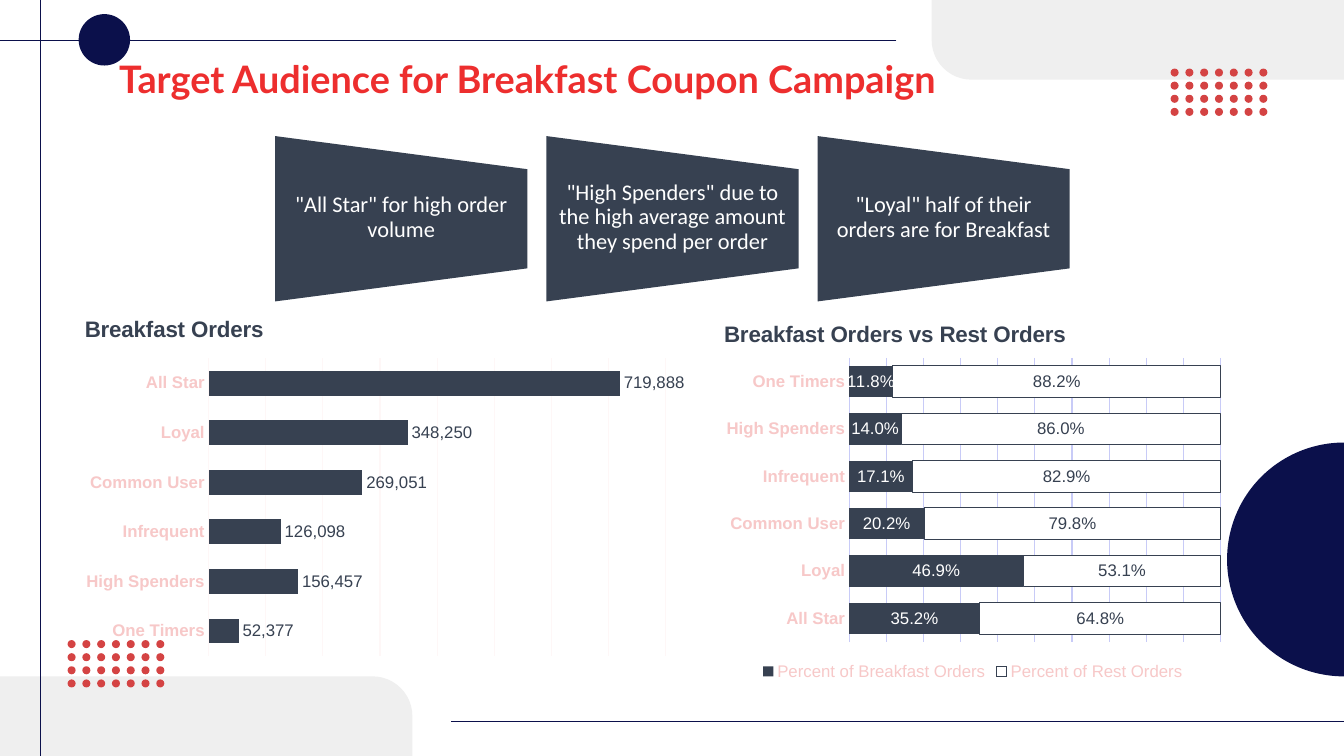
"""Build the slide on the target audience of the breakfast coupon campaign."""
from itertools import product
from pptx import Presentation, util as u
from pptx.chart.data import CategoryChartData
from pptx.dml.color import RGBColor
from pptx.enum import chart as ch, shapes, text
from pptx.oxml import parse_xml
from pptx.oxml.ns import nsdecls, qn

WIDE, HIGH = 13.33, 7.5
NAVY, SLATE, RED, DOT = "0B104B", "374151", "ED2E2E", "D44343"
PINK, PALE, LILAC, GREY, WHITE = "F7C8C8", "FEF7F7", "C8CBF7", "EFEFEF", "FFFFFF"
KIND, TYPE, SPOT = shapes.MSO_SHAPE, ch.XL_CHART_TYPE, ch.XL_LABEL_POSITION

HEAD = "Target Audience for Breakfast Coupon Campaign"
CARDS = [
    '"All Star" for high order volume',
    '"High Spenders" due to the high average amount they spend per order',
    '"Loyal" half of their orders are for Breakfast',
]
GROUPS = ["All Star", "Loyal", "Common User", "Infrequent", "High Spenders", "One Timers"]
RULES = [(WIDE, 7.16, 4.47, 7.16), (8.89, 0.4, 0, 0.4), (0.4, HIGH, 0.4, 0)]
CHARTS = [
    dict(title="Breakfast Orders", kind=TYPE.BAR_CLUSTERED, box=(0.74, 2.98, 6.05, 3.6),
         head=(0.01, 0.03), plot=(0.22, 0.16, 0.75, 0.82), top=800000, step=100000,
         gap=100, lap=0, grid=PALE, flip=True, form="#,##0", spot=SPOT.OUTSIDE_END,
         rows=[("Series 1", [719888, 348250, 269051, 126098, 156457, 52377],
                SLATE, SLATE, None)]),
    dict(title="Breakfast Orders vs Rest Orders", kind=TYPE.BAR_STACKED,
         box=(7.09, 2.98, 5.12, 3.81), head=(0.01, 0.04), plot=(0.26, 0.15, 0.72, 0.74),
         top=1, step=0.1, gap=50, lap=100, grid=LILAC, flip=False, form="0.0%",
         spot=SPOT.CENTER,
         rows=[("Percent of Breakfast Orders", [0.352, 0.469, 0.202, 0.171, 0.14, 0.118],
                SLATE, WHITE, None),
               ("Percent of Rest Orders", [0.648, 0.531, 0.798, 0.829, 0.86, 0.882],
                WHITE, SLATE, SLATE)]),
]

deck = Presentation()
deck.slide_width, deck.slide_height = u.Inches(WIDE), u.Inches(HIGH)
slide = deck.slides.add_slide(deck.slide_layouts[6])


def inch(box):
    return [u.Inches(n) for n in box]


def hue(part, code):
    part.rgb = RGBColor.from_string(code)


def paint(part, code):
    part.solid()
    hue(part.fore_color, code)


def stroke(line, code):
    paint(line.fill, code)
    line.width = u.Pt(0.75)


def style(font, size, code, bold=False, name="Arial"):
    font.size, font.bold, font.name = u.Pt(size), bold, name
    hue(font.color, code)


def shape(kind, box, code, turn=0, knobs=()):
    item = slide.shapes.add_shape(kind, *inch(box))
    item.shadow.inherit = False
    paint(item.fill, code)
    item.line.fill.background()
    item.rotation = turn
    for i, knob in enumerate(knobs):
        item.adjustments[i] = knob


def write(words, box, pad, anchor, space, *look):
    frame = slide.shapes.add_textbox(*inch(box)).text_frame
    frame.word_wrap, frame.vertical_anchor = True, anchor
    frame.margin_left = frame.margin_right = u.Inches(pad[0])
    frame.margin_top = frame.margin_bottom = u.Inches(pad[1])
    para = frame.paragraphs[0]
    para.alignment, para.line_spacing = text.PP_ALIGN.CENTER, space
    run = para.add_run()
    run.text = words
    style(run.font, *look)


def place(node, spot, index, inner=""):
    for old in node.findall(qn("c:layout")):
        node.remove(old)
    tags = "".join(f'<c:{k}Mode val="edge"/>' for k in "xy")
    tags += "".join(f'<c:{k} val="{n}"/>' for k, n in zip("xywh", spot))
    node.insert(index, parse_xml(
        f'<c:layout {nsdecls("c")}><c:manualLayout>{inner}{tags}</c:manualLayout></c:layout>'))


def draw(cfg):
    data = CategoryChartData()
    data.categories = GROUPS
    for name, vals, *_ in cfg["rows"]:
        data.add_series(name, vals)
    chart = slide.shapes.add_chart(cfg["kind"], *inch(cfg["box"]), data).chart
    style(chart.font, 12, PINK)
    chart.has_title = True
    run = chart.chart_title.text_frame.paragraphs[0].add_run()
    run.text = cfg["title"]
    style(run.font, 16, SLATE, True)
    place(chart.chart_title._element, cfg["head"], 1)
    area = chart._chartSpace.xpath("c:chart/c:plotArea")[0]
    place(area, cfg["plot"], 0, '<c:layoutTarget val="inner"/>')

    cats, vals = chart.category_axis, chart.value_axis
    cats.major_tick_mark = ch.XL_TICK_MARK.NONE
    cats.reverse_order = cfg["flip"]
    style(cats.tick_labels.font, 12, PINK, True)
    stroke(cats.format.line, cfg["grid"])
    vals.visible = False
    vals.minimum_scale, vals.maximum_scale = 0, cfg["top"]
    vals.major_unit = cfg["step"]
    stroke(vals.major_gridlines.format.line, cfg["grid"])

    plot = chart.plots[0]
    plot.gap_width, plot.overlap, plot.vary_by_categories = cfg["gap"], cfg["lap"], False
    for row, (_, _, fill, ink, edge) in zip(plot.series, cfg["rows"]):
        paint(row.format.fill, fill)
        if edge:
            stroke(row.format.line, edge)
        tag = row.data_labels
        tag.show_value, tag.position = True, cfg["spot"]
        tag.number_format, tag.number_format_is_linked = cfg["form"], False
        style(tag.font, 12, ink)
    chart.has_legend = len(cfg["rows"]) > 1
    if chart.has_legend:
        chart.legend.position = ch.XL_LEGEND_POSITION.BOTTOM
        chart.legend.include_in_layout = False
        style(chart.legend.font, 12, PINK)


for left, top, turn in [(WIDE - 4.09, 0, 180), (0, HIGH - 0.79, 0)]:
    shape(KIND.ROUND_1_RECTANGLE, (left, top, 4.09, 0.79), GREY, turn, [0.5])
for ends in RULES:
    rule = slide.shapes.add_connector(shapes.MSO_CONNECTOR.STRAIGHT, *inch(ends))
    stroke(rule.line, NAVY)
    rule._element.spPr.append(parse_xml(f'<a:effectLst {nsdecls("a")}/>'))
for (left, top), row, col in product([(0.67, 6.35), (11.61, 0.68)], range(4), range(7)):
    shape(KIND.OVAL, (left + col * 0.88 / 6, top + row * 0.13, 0.08, 0.08), DOT)
shape(KIND.OVAL, (0.78, 0.14, 0.51, 0.51), NAVY)
shape(KIND.PIE, (12.17, 4.39, 2.32, 2.32), NAVY, 0, [54, 162])

write(HEAD, (-0.52, 0.53, 11.5, 0.56), (0.1, 0.1), text.MSO_ANCHOR.BOTTOM, 0.7,
      27, RED, True, "Lato")
draw(CHARTS[0])
for i, words in enumerate(CARDS):
    left = 2.73 + i * 2.69
    shape(KIND.FLOWCHART_MANUAL_OPERATION, (left + 0.43, 0.92, 1.64, 2.5), SLATE, 270)
    write(words, (left, 1.67, 2.5, 0.98), (0.11, 0), text.MSO_ANCHOR.MIDDLE, 0.9,
          16, WHITE, False, "Calibri")
draw(CHARTS[1])
deck.save("out.pptx")
